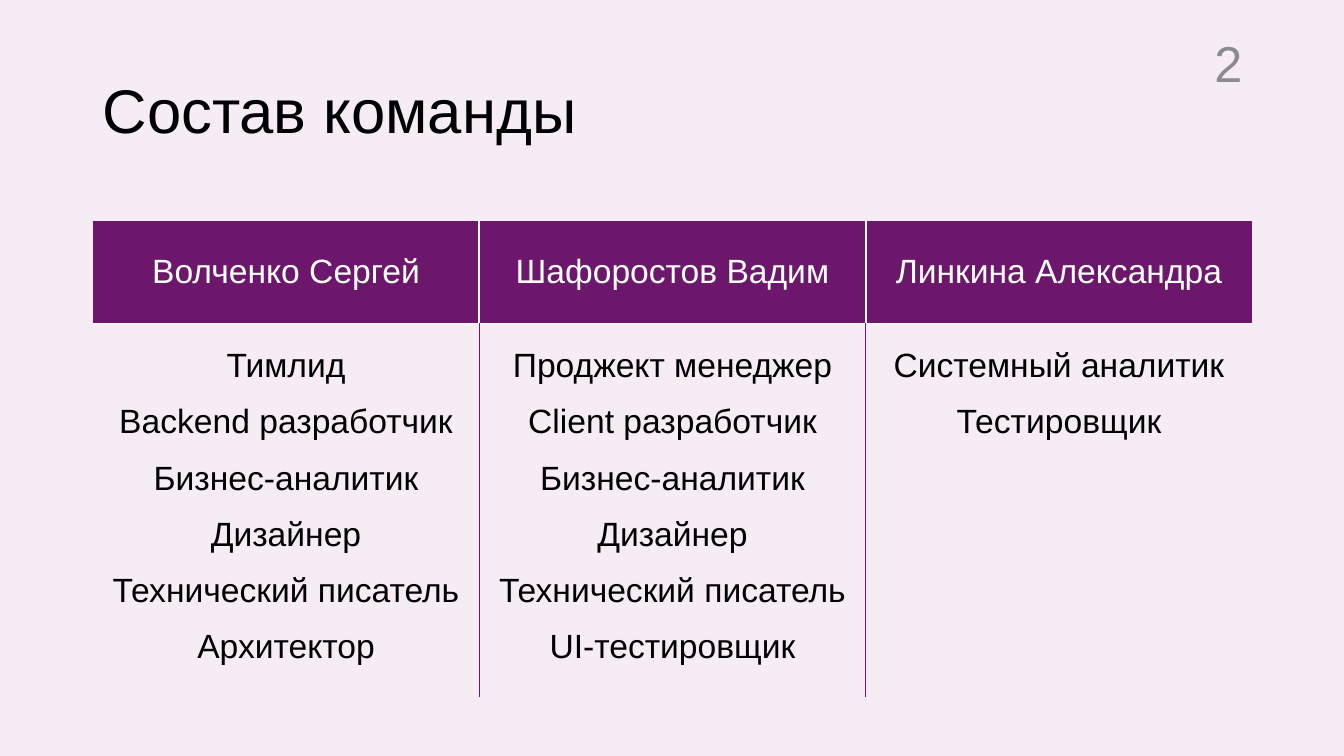
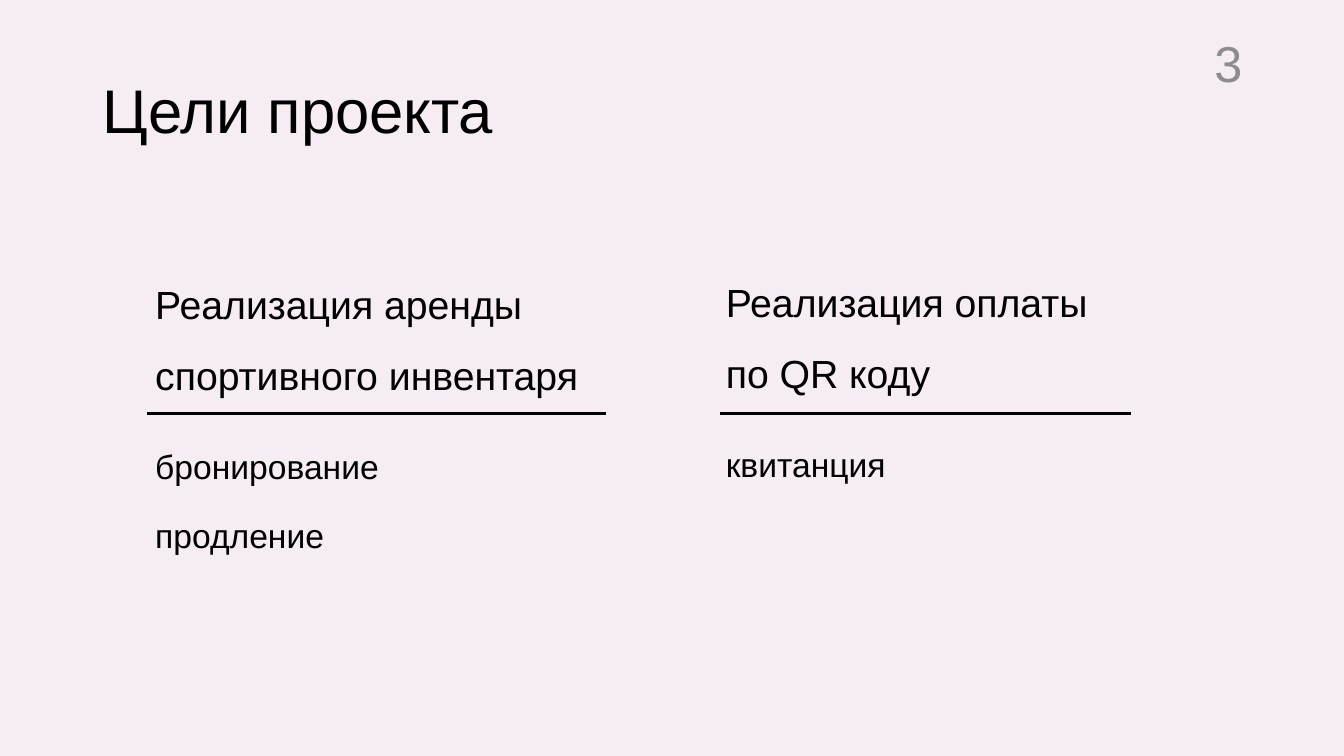
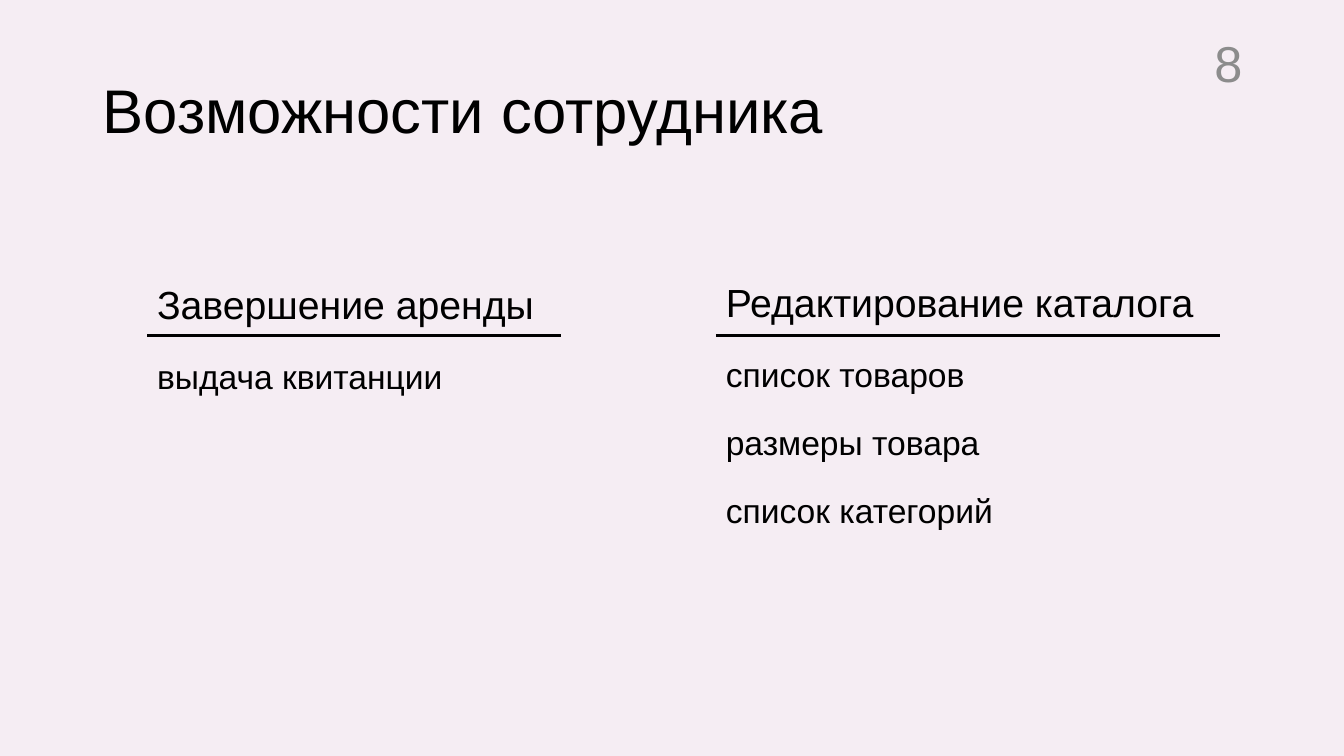
from pptx import Presentation
from pptx.dml.color import RGBColor
from pptx.enum.shapes import MSO_CONNECTOR
from pptx.enum.text import MSO_ANCHOR, PP_ALIGN
from pptx.oxml.ns import qn
from pptx.util import Inches, Pt
from lxml.etree import SubElement

# Shared look
FONT = "Arial"
BACKGROUND, PURPLE = "F5EDF3", "6C166C"
BLACK, WHITE, GREY = "000000", "FFFFFF", "8C8C8C"
NO_TABLE_STYLE = "{2D5ABB26-0587-4C30-8999-92F81FD0307C}"

TEAM = {
    "Волченко Сергей": [
        "Тимлид", "Backend разработчик", "Бизнес-аналитик",
        "Дизайнер", "Технический писатель", "Архитектор"],
    "Шафоростов Вадим": [
        "Проджект менеджер", "Client разработчик", "Бизнес-аналитик",
        "Дизайнер", "Технический писатель", "UI-тестировщик"],
    "Линкина Александра": ["Системный аналитик", "Тестировщик"],
}


def color(value):
    return RGBColor.from_string(value)


def write(paragraph, text, size, ink=BLACK, align=PP_ALIGN.LEFT, spacing=1.0):
    paragraph.alignment = align
    paragraph.line_spacing = spacing
    run = paragraph.add_run()
    run.text = text
    run.font.name = FONT
    run.font.size = Pt(size)
    run.font.color.rgb = color(ink)


def paragraphs(frame, count):
    """The first paragraph of a frame, followed by new ones up to count."""
    return [frame.paragraphs[0]] + [frame.add_paragraph() for _ in range(count - 1)]


def add_text_frame(slide, left, top, width, height, anchor=MSO_ANCHOR.TOP):
    box = slide.shapes.add_textbox(
        Inches(left), Inches(top), Inches(width), Inches(height))
    frame = box.text_frame
    frame.word_wrap = True
    frame.vertical_anchor = anchor
    return frame


def add_titled_slide(deck, title, number):
    slide = deck.slides.add_slide(deck.slide_layouts[6])
    slide.background.fill.solid()
    slide.background.fill.fore_color.rgb = color(BACKGROUND)
    heading = add_text_frame(slide, 0.92, 0.4, 11.5, 1.45, MSO_ANCHOR.MIDDLE)
    write(heading.paragraphs[0], title, 44, spacing=0.9)
    page = add_text_frame(slide, 11.46, 0.4, 0.96, 0.43, MSO_ANCHOR.MIDDLE)
    write(page.paragraphs[0], str(number), 36, GREY, PP_ALIGN.RIGHT)
    return slide


def set_border(cell, side, ink, points):
    line = SubElement(cell._tc.get_or_add_tcPr(), qn(f"a:ln{side}"), w=str(Pt(points)))
    fill = SubElement(line, qn("a:solidFill"))
    SubElement(fill, qn("a:srgbClr"), val=ink)


def add_team_table(slide, team):
    graphic = slide.shapes.add_table(
        2, len(team), Inches(0.92), Inches(2.19), Inches(11.5), Inches(4.46))
    for style in graphic.element.iter(qn("a:tableStyleId")):
        style.text = NO_TABLE_STYLE
    table = graphic.table
    table.horz_banding = False
    table.rows[0].height = Inches(1.02)
    table.rows[1].height = Inches(3.44)

    for column, (member, roles) in enumerate(team.items()):
        name_cell, roles_cell = table.cell(0, column), table.cell(1, column)

        # Borders between columns, then between the two rows
        for cell, ink, points in ((name_cell, WHITE, 1.5), (roles_cell, PURPLE, 1)):
            if column > 0:
                set_border(cell, "L", ink, points)
            if column < len(team) - 1:
                set_border(cell, "R", ink, points)
        set_border(name_cell, "B", WHITE, 1.5)
        set_border(roles_cell, "T", WHITE, 1.5)

        # Member name
        name_cell.fill.solid()
        name_cell.fill.fore_color.rgb = color(PURPLE)
        name_cell.vertical_anchor = MSO_ANCHOR.MIDDLE
        write(name_cell.text_frame.paragraphs[0], member, 24, WHITE, PP_ALIGN.CENTER)

        # Roles
        roles_cell.fill.background()
        for paragraph, role in zip(paragraphs(roles_cell.text_frame, len(roles)), roles):
            write(paragraph, role, 24, align=PP_ALIGN.CENTER, spacing=1.5)


def add_topic(slide, left, top, width, heading, details, detail_spacing=1.0, inset=0.1):
    """A large heading with smaller details; detail_spacing is for the first."""
    frame = add_text_frame(slide, left, top, width, 3.1)
    frame.margin_left = Inches(inset)
    lines = [(heading, 28, 1.5), (details[0], 24, detail_spacing)]
    lines += [(detail, 24, 1.0) for detail in details[1:]]
    for paragraph, (text, size, spacing) in zip(paragraphs(frame, len(lines)), lines):
        paragraph.space_before = paragraph.space_after = Pt(10)
        write(paragraph, text, size, spacing=spacing)


def add_rule(slide, left, right, y):
    rule = slide.shapes.add_connector(
        MSO_CONNECTOR.STRAIGHT, Inches(left), Inches(y), Inches(right), Inches(y))
    rule.line.color.rgb = color(BLACK)
    rule.line.width = Pt(2)
    SubElement(rule.element.spPr, qn("a:effectLst"))


def main():
    deck = Presentation()
    deck.slide_width, deck.slide_height = Inches(13.33), Inches(7.5)

    # Team
    team = add_titled_slide(deck, "Состав команды", 2)
    add_team_table(team, TEAM)

    # Project goals
    goals = add_titled_slide(deck, "Цели проекта", 3)
    add_topic(goals, 1.46, 2.5, 4.55, "Реализация аренды спортивного инвентаря",
              ["бронирование", "продление"], 1.5, inset=0.08)
    add_topic(goals, 7.1, 2.48, 4.25, "Реализация оплаты по QR коду",
              ["квитанция"], 1.5)
    add_rule(goals, 1.46, 6.01, 4.1)
    add_rule(goals, 7.14, 11.22, 4.1)

    # Employee features
    features = add_titled_slide(deck, "Возможности сотрудника", 8)
    add_topic(features, 1.46, 2.5, 4.1, "Завершение аренды", ["выдача квитанции"])
    add_topic(features, 7.1, 2.48, 5.01, "Редактирование каталога",
              ["список товаров", "размеры товара", "список категорий"])
    add_rule(features, 1.46, 5.56, 3.33)
    add_rule(features, 7.1, 12.1, 3.33)

    deck.save("out.pptx")


if __name__ == "__main__":
    main()
